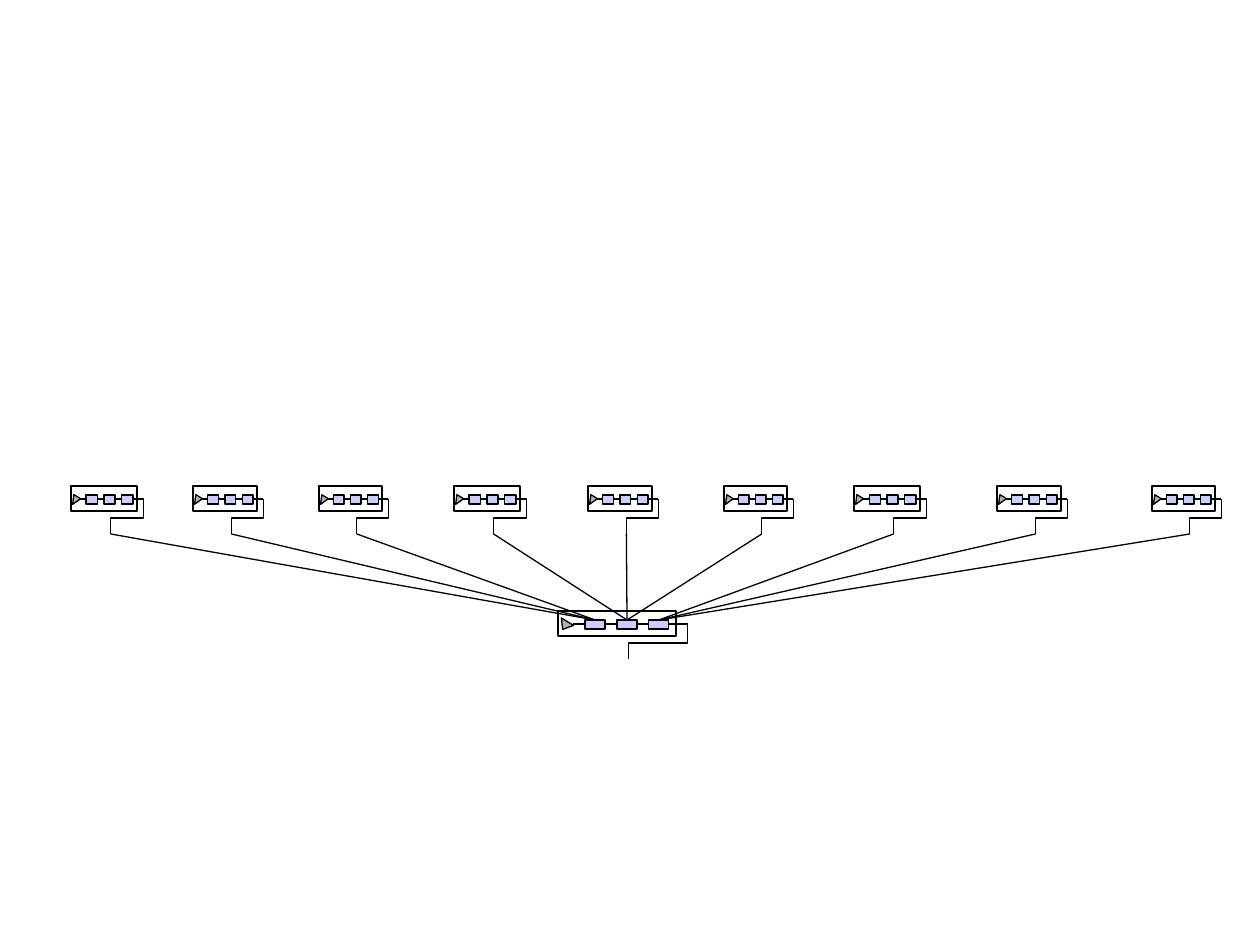
from lxml import etree
from pptx import Presentation
from pptx.dml.color import RGBColor
from pptx.enum.shapes import MSO_CONNECTOR, MSO_SHAPE
from pptx.oxml.ns import qn
from pptx.util import Pt

PX = 914400 / 126
SLIDE_WIDTH, SLIDE_HEIGHT = 1260, 945
BLANK_LAYOUT = 6

RECTANGLE = MSO_SHAPE.RECTANGLE
TRIANGLE = MSO_SHAPE.ISOSCELES_TRIANGLE
STRAIGHT = MSO_CONNECTOR.STRAIGHT

BLACK = RGBColor(0x00, 0x00, 0x00)
GRAY = RGBColor(0xB2, 0xB2, 0xB2)
LAVENDER = RGBColor(0xCC, 0xCC, 0xFF)

# Vertical offsets from the top of a pipeline box
BOX_HEIGHT = 25
PART_HEIGHT = 9
STAGE_TOP, SOURCE_TOP, RAIL_Y = 9, 10, 13
ELBOW_Y, OUTLET_Y = 32, 48

# Horizontal offsets as shares of the box width
SOURCE_WIDTH, RAIL_START, OUTLET_X, TAIL_REACH = 0.12, 0.13, 0.6, 1.1
STAGE_START, STAGE_STEP, STAGE_WIDTH = 0.23, 0.27, 0.17
STAGE_COUNT = 3

HUB_BOX = (558, 611, 118)
FEEDER_TOP = 486
FEEDERS = [  # left and width of each box
    (71, 66), (193, 64), (319, 63),
    (454, 66), (588, 64), (724, 63),
    (854, 66), (997, 64), (1152, 63),
]


def emu(pixels):
    return round(pixels * PX)


def style_outline(shape, fill=None):
    shape.shadow.inherit = False
    shape.line.color.rgb = BLACK
    shape.line.width = Pt(0.75)
    if fill is None:
        shape.fill.background()
    else:
        shape.fill.solid()
        shape.fill.fore_color.rgb = fill


def add_part(shapes, kind, left, top, width, height, fill=None):
    shape = shapes.add_shape(kind, emu(left), emu(top), emu(width), emu(height))
    style_outline(shape, fill)
    return shape


def add_line(shapes, start, end):
    line = shapes.add_connector(STRAIGHT, *map(emu, start + end))
    line.line.color.rgb = BLACK
    line.line.width = Pt(0.75)
    etree.SubElement(line._element.spPr, qn("a:effectLst"))


def outlet_point(left, top, width):
    return left + OUTLET_X * width, top + OUTLET_Y


def stage_left(left, width, index):
    return left + (STAGE_START + index * STAGE_STEP) * width


def add_frame(shapes, left, top, width):
    """Add the source triangle, stepped outlet, rail and outer box."""
    source = add_part(shapes, TRIANGLE, left, top + SOURCE_TOP,
                      SOURCE_WIDTH * width, PART_HEIGHT, GRAY)
    source.rotation = 211.3

    reach = left + TAIL_REACH * width
    rail_y, elbow_y = top + RAIL_Y, top + ELBOW_Y
    outlet = outlet_point(left, top, width)
    corners = [(reach, elbow_y), (outlet[0], elbow_y), outlet]
    builder = shapes.build_freeform(emu(reach), emu(rail_y))
    builder.add_line_segments([(emu(x), emu(y)) for x, y in corners], close=False)
    style_outline(builder.convert_to_shape())

    add_line(shapes, (left + RAIL_START * width, rail_y), (reach, rail_y))
    add_part(shapes, RECTANGLE, left, top, width, BOX_HEIGHT)


def add_stage(shapes, left, top, width, index):
    add_part(shapes, RECTANGLE, stage_left(left, width, index), top + STAGE_TOP,
             STAGE_WIDTH * width, PART_HEIGHT, LAVENDER)


def add_feeder(shapes, left, top, width):
    add_frame(shapes, left, top, width)
    for index in range(STAGE_COUNT):
        add_stage(shapes, left, top, width, index)


def add_network(shapes):
    """Add the hub and its feeders, three to each hub stage."""
    hub_left, hub_top, hub_width = HUB_BOX
    add_frame(shapes, *HUB_BOX)
    per_stage = len(FEEDERS) // STAGE_COUNT
    for index in range(STAGE_COUNT):
        inlet_x = stage_left(hub_left, hub_width, index) + STAGE_WIDTH * hub_width / 2
        inlet = (inlet_x, hub_top + STAGE_TOP)
        for left, width in FEEDERS[index * per_stage:(index + 1) * per_stage]:
            add_feeder(shapes, left, FEEDER_TOP, width)
            add_line(shapes, inlet, outlet_point(left, FEEDER_TOP, width))
        add_stage(shapes, *HUB_BOX, index)


def main():
    presentation = Presentation()
    presentation.slide_width = emu(SLIDE_WIDTH)
    presentation.slide_height = emu(SLIDE_HEIGHT)
    slide = presentation.slides.add_slide(presentation.slide_layouts[BLANK_LAYOUT])
    add_network(slide.shapes.add_group_shape().shapes)
    presentation.save("out.pptx")


if __name__ == "__main__":
    main()
